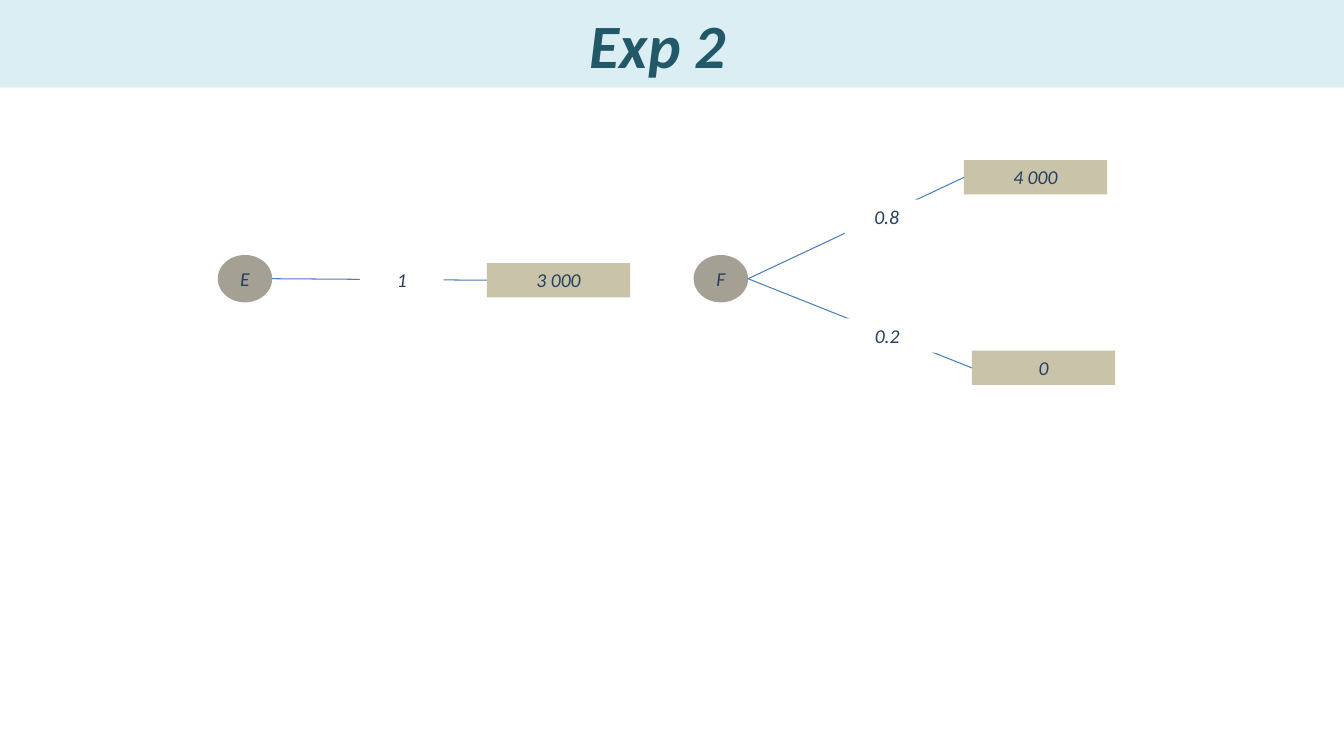
from lxml.etree import SubElement
from pptx import Presentation
from pptx.dml.color import RGBColor
from pptx.enum.shapes import MSO_CONNECTOR, MSO_SHAPE
from pptx.enum.text import MSO_ANCHOR, MSO_AUTO_SIZE, PP_ALIGN
from pptx.oxml.ns import qn
from pptx.util import Inches, Pt

TITLE = "Exp 2"
LOTTERIES = [
    {"name": "E", "left": 2.16, "branches": [
        ("3 000", (4.83, 2.61), "1", (3.57, 2.61, 0.83))]},
    {"name": "F", "left": 6.88, "branches": [
        ("4 000", (9.56, 1.59), "0.8", (8.38, 1.98, 0.83)),
        ("0", (9.64, 3.48), "0.2", (8.3, 3.16, 1.0))]},
]
NODE_TOP, NODE_W, NODE_H = 2.53, 0.54, 0.47
OUTCOME_W, ROW_H = 1.42, 0.34
BAND_H, TITLE_SHIFT = 0.87, 0.14


def rgb(value):
    return RGBColor.from_string(value)


def paint(sp, color, alpha=100):
    sp.fill.solid()
    sp.fill.fore_color.rgb = rgb(color)
    if alpha < 100:
        clr = sp.fill._xPr.find(qn("a:solidFill"))[0]
        SubElement(clr, qn("a:alpha")).set("val", str(alpha * 1000))


def write(tf, text, size, color, bold=False):
    p = tf.paragraphs[0]
    p.alignment = PP_ALIGN.CENTER
    r = p.add_run()
    r.text = text
    r.font.name = "Calibri"
    r.font.size = Pt(size)
    r.font.bold = bold
    r.font.italic = True
    r.font.color.rgb = rgb(color)


def add_box(shapes, kind, box, text, color, alpha=100):
    sp = shapes.add_shape(kind, *map(Inches, box))
    sp.shadow.inherit = False
    sp.line.fill.background()
    paint(sp, color, alpha)
    tf = sp.text_frame
    if kind == MSO_SHAPE.RECTANGLE:
        tf.vertical_anchor = MSO_ANCHOR.TOP
        tf.auto_size = MSO_AUTO_SIZE.SHAPE_TO_FIT_TEXT
    else:
        tf.vertical_anchor = MSO_ANCHOR.MIDDLE
    write(tf, text, 14, "254061")
    return sp


def add_branch(shapes, node, outcome):
    x, y = node.left + node.width, node.top + node.height // 2
    line = shapes.add_connector(MSO_CONNECTOR.STRAIGHT, x, y, x, y)
    line.end_connect(outcome, 1)
    line.line.color.rgb = rgb("4B7EBC")
    line.line.width = Pt(0.75)
    SubElement(line._element.spPr, qn("a:effectLst"))


def add_lottery(slide, lottery):
    shapes = slide.shapes.add_group_shape().shapes
    node = add_box(shapes, MSO_SHAPE.OVAL,
                   (lottery["left"], NODE_TOP, NODE_W, NODE_H),
                   lottery["name"], "4A452A", 50)
    for payoff, place, chance, (left, top, width) in lottery["branches"]:
        outcome = add_box(shapes, MSO_SHAPE.RECTANGLE, (*place, OUTCOME_W, ROW_H),
                          payoff, "948A54", 50)
        add_branch(shapes, node, outcome)
        add_box(shapes, MSO_SHAPE.RECTANGLE, (left, top, width, ROW_H),
                chance, "FFFFFF")


def main():
    prs = Presentation()
    prs.slide_width, prs.slide_height = Inches(13.33), Inches(7.5)
    slide = prs.slides.add_slide(prs.slide_layouts[5])

    for lottery in LOTTERIES:
        add_lottery(slide, lottery)

    title = slide.shapes.title
    title.left, title.top = 0, 0
    title.width, title.height = prs.slide_width, Inches(BAND_H)
    paint(title, "DBEEF4")
    tf = title.text_frame
    tf.vertical_anchor = MSO_ANCHOR.MIDDLE
    tf.margin_right = Inches(0.1 + 2 * TITLE_SHIFT)
    write(tf, TITLE, 44, "215968", bold=True)

    prs.save("out.pptx")


if __name__ == "__main__":
    main()
